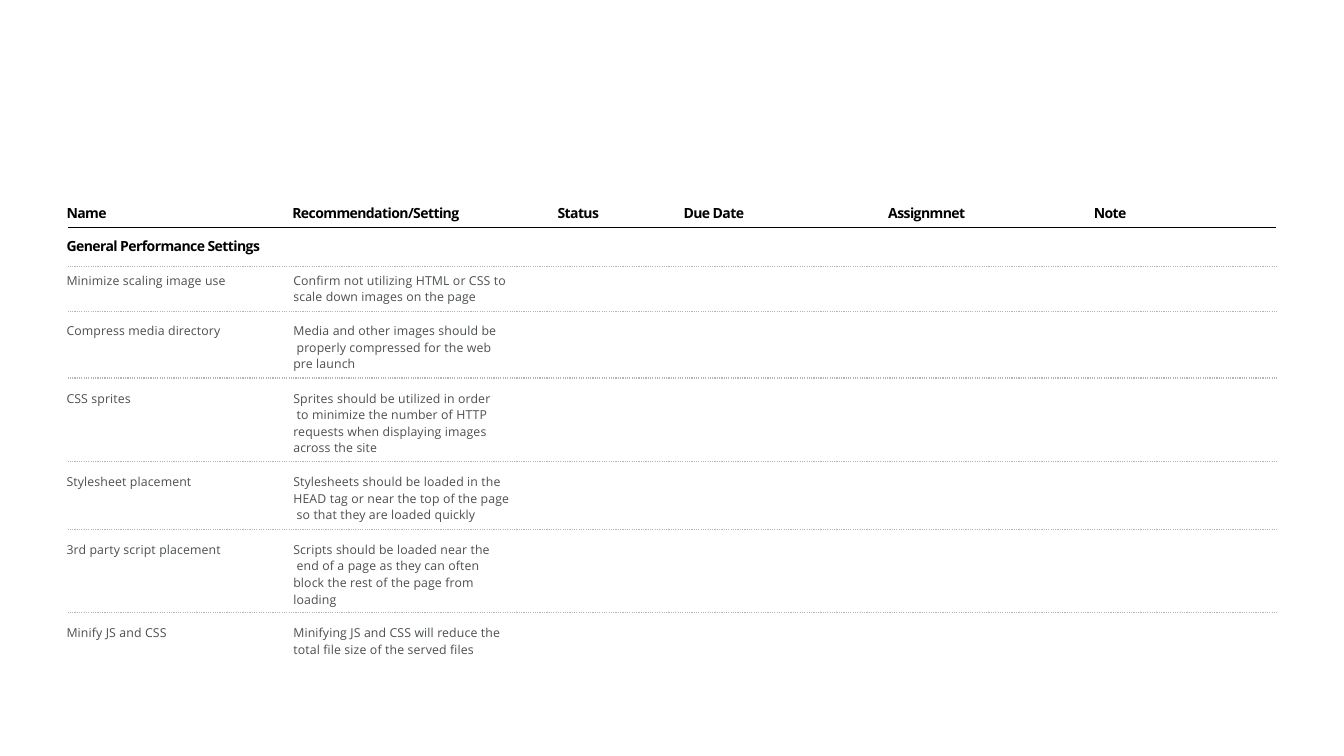
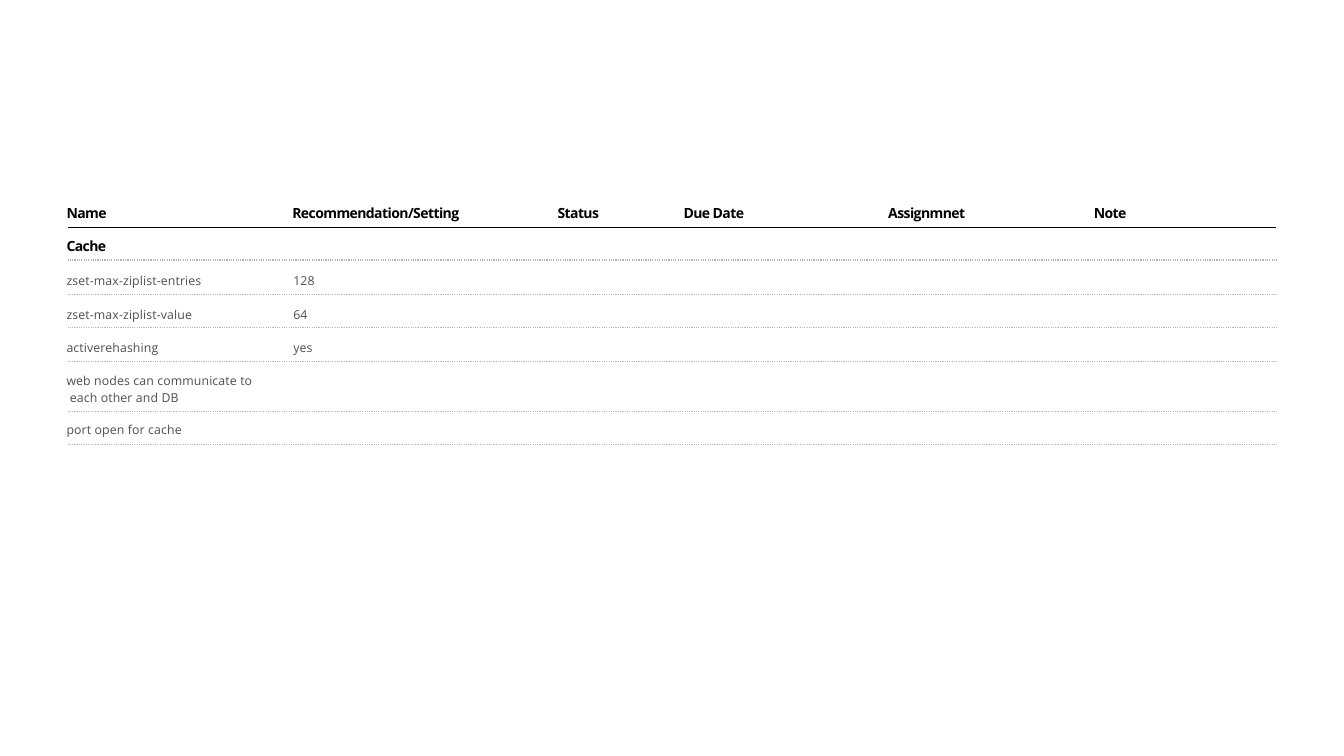
from itertools import pairwise

from lxml import etree
from pptx import Presentation
from pptx.dml.color import RGBColor
from pptx.enum import dml, shapes
from pptx.oxml import ns
from pptx.util import Inches, Pt

BLACK = RGBColor(0x00, 0x00, 0x00)
HEADER_RULE = RGBColor(0x00, 0x01, 0x01)
ROW_RULE = RGBColor(0xB4, 0xB5, 0xB7)
BODY_GREY = RGBColor(0x4B, 0x4F, 0x51)
FONT = "Open Sans"
PLAIN_TABLE_STYLE = "{2D5ABB26-0587-4C30-8999-92F81FD0307C}"

COLUMN_EDGES = [0.66, 2.9, 5.53, 6.78, 8.81, 10.85, 12.66]
HEADINGS = ["Name", "Recommendation/Setting", "Status", "Due Date", "Assignmnet", "Note"]
TABLE_TOP = 2.02
HEADER_BOTTOM = 2.26
RULE_LEFT, RULE_RIGHT = 0.67, 12.66
ROW_PADDING = 0.12

PERFORMANCE_ROWS = [
    ("Minimize scaling image use",
     "Confirm not utilizing HTML or CSS to\vscale down images on the page", 3.09, 0.06),
    ("Compress media directory",
     "Media and other images should be\v properly compressed for the web\vpre launch",
     3.75, 0.11),
    ("CSS sprites",
     "Sprites should be utilized in order\v to minimize the number of HTTP\v"
     "requests when displaying images\vacross the site", 4.58, ROW_PADDING),
    ("Stylesheet placement",
     "Stylesheets should be loaded in the\vHEAD tag or near the top of the page\v"
     " so that they are loaded quickly", 5.25, ROW_PADDING),
    ("3rd party script placement",
     "Scripts should be loaded near the\v end of a page as they can often\v"
     "block the rest of the page from\vloading", 6.08, ROW_PADDING),
    ("Minify JS and CSS",
     "Minifying JS and CSS will reduce the\vtotal file size of the served files",
     6.58, ROW_PADDING),
]
CACHE_ROWS = [
    ("zset-max-ziplist-entries", "128", 2.92, ROW_PADDING),
    ("zset-max-ziplist-value", "64", 3.25, ROW_PADDING),
    ("activerehashing", "yes", 3.59, ROW_PADDING),
    ("web nodes can communicate to\v each other and DB", "", 4.08, 0.11),
    ("port open for cache", "", 4.41, 0.1),
]


def write_cell(cell, content, size, color, bold, tracking, padding):
    cell.margin_left = cell.margin_right = cell.margin_bottom = 0
    cell.margin_top = Inches(padding)
    cell.fill.background()
    cell.text = content
    paragraph = cell.text_frame.paragraphs[0]
    font = paragraph.font
    font.name, font.size, font.bold = FONT, Pt(size), bold
    font.color.rgb = color
    properties = paragraph._p.get_or_add_pPr()
    properties.find(ns.qn("a:defRPr")).set("spc", str(tracking))
    if not content:
        etree.SubElement(paragraph._p, ns.qn("a:endParaRPr"), sz=str(round(size * 100)))


def write_heading(cell, content, padding):
    write_cell(cell, content, 10, BLACK, True, -40, padding)


def write_body(cell, content, padding):
    write_cell(cell, content, 8.8, BODY_GREY, False, 10, padding)


def add_rule(slide, y, color, dash):
    rule = slide.shapes.add_connector(
        shapes.MSO_CONNECTOR.STRAIGHT,
        Inches(RULE_LEFT), Inches(y), Inches(RULE_RIGHT), Inches(y))
    rule.line.color.rgb = color
    rule.line.width = Pt(0.82)
    rule.line.dash_style = dash
    etree.SubElement(rule._element.spPr, ns.qn("a:effectLst"))


def add_plain_table(slide, row_edges):
    left, right = COLUMN_EDGES[0], COLUMN_EDGES[-1]
    table = slide.shapes.add_table(
        len(row_edges) - 1, len(HEADINGS), Inches(left), Inches(row_edges[0]),
        Inches(right - left), Inches(row_edges[-1] - row_edges[0])).table
    table.horz_banding = False
    table._tbl.tblPr.find(ns.qn("a:tableStyleId")).text = PLAIN_TABLE_STYLE
    for column, (start, end) in zip(table.columns, pairwise(COLUMN_EDGES)):
        column.width = Inches(end - start)
    for row, (start, end) in zip(table.rows, pairwise(row_edges)):
        row.height = Inches(end - start)
    return table


def add_checklist(prs, section, section_bottom, entries, closed):
    slide = prs.slides.add_slide(prs.slide_layouts[6])
    row_bottoms = [section_bottom] + [entry[2] for entry in entries]
    table = add_plain_table(slide, [TABLE_TOP, HEADER_BOTTOM] + row_bottoms)
    header, section_row, *entry_rows = table.rows

    for cell, heading in zip(header.cells, HEADINGS):
        write_heading(cell, heading, 0)
    for index, cell in enumerate(section_row.cells):
        write_heading(cell, "" if index else section, 0.09)
    table.cell(1, 0).merge(table.cell(1, len(HEADINGS) - 1))
    for row, (name, setting, _, padding) in zip(entry_rows, entries):
        contents = [name, setting] + [""] * (len(HEADINGS) - 2)
        for cell, content in zip(row.cells, contents):
            write_body(cell, content, padding)
        row.cells[1].margin_left = Inches(0.01)

    add_rule(slide, HEADER_BOTTOM, HEADER_RULE, dml.MSO_LINE.SOLID)
    for bottom in row_bottoms if closed else row_bottoms[:-1]:
        add_rule(slide, bottom, ROW_RULE, dml.MSO_LINE.ROUND_DOT)


def main():
    prs = Presentation()
    prs.slide_width, prs.slide_height = Inches(13.33), Inches(7.5)
    add_checklist(prs, "General Performance Settings", 2.64, PERFORMANCE_ROWS, closed=False)
    add_checklist(prs, "Cache", 2.58, CACHE_ROWS, closed=True)
    prs.save("out.pptx")


if __name__ == "__main__":
    main()
